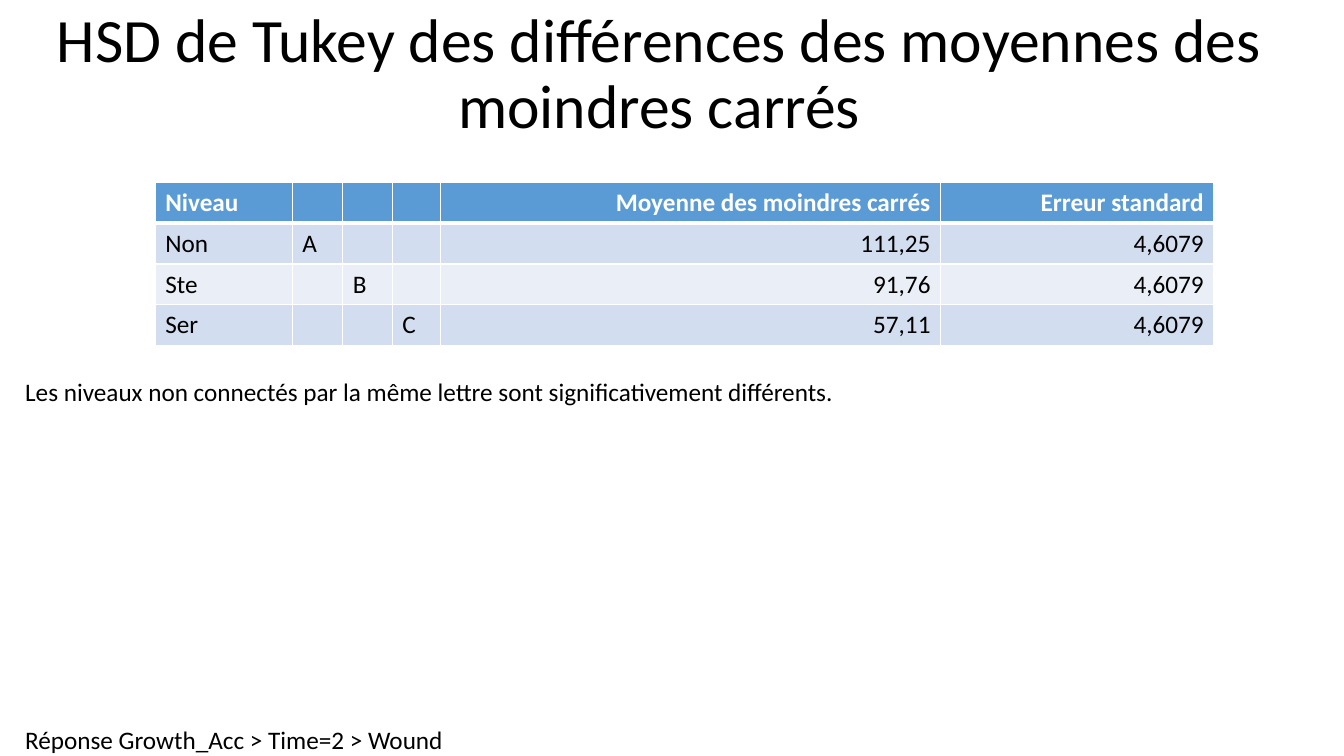
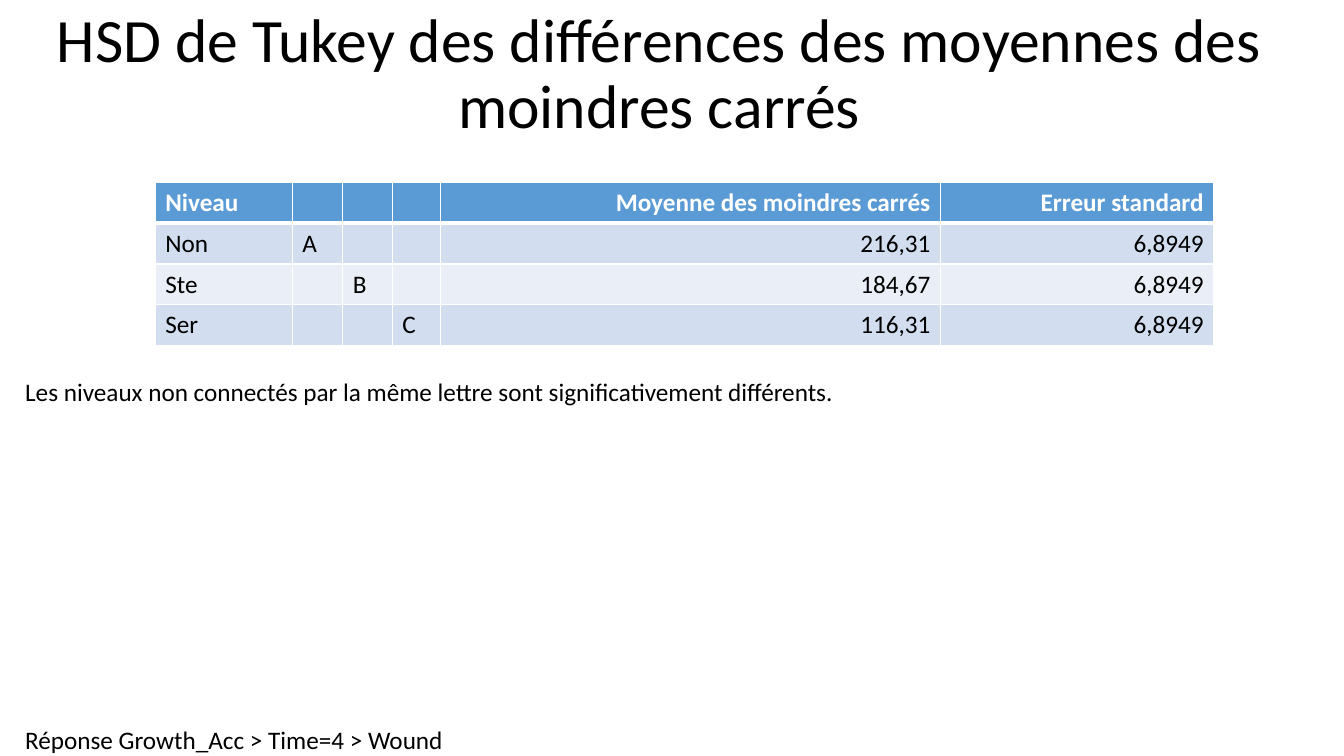
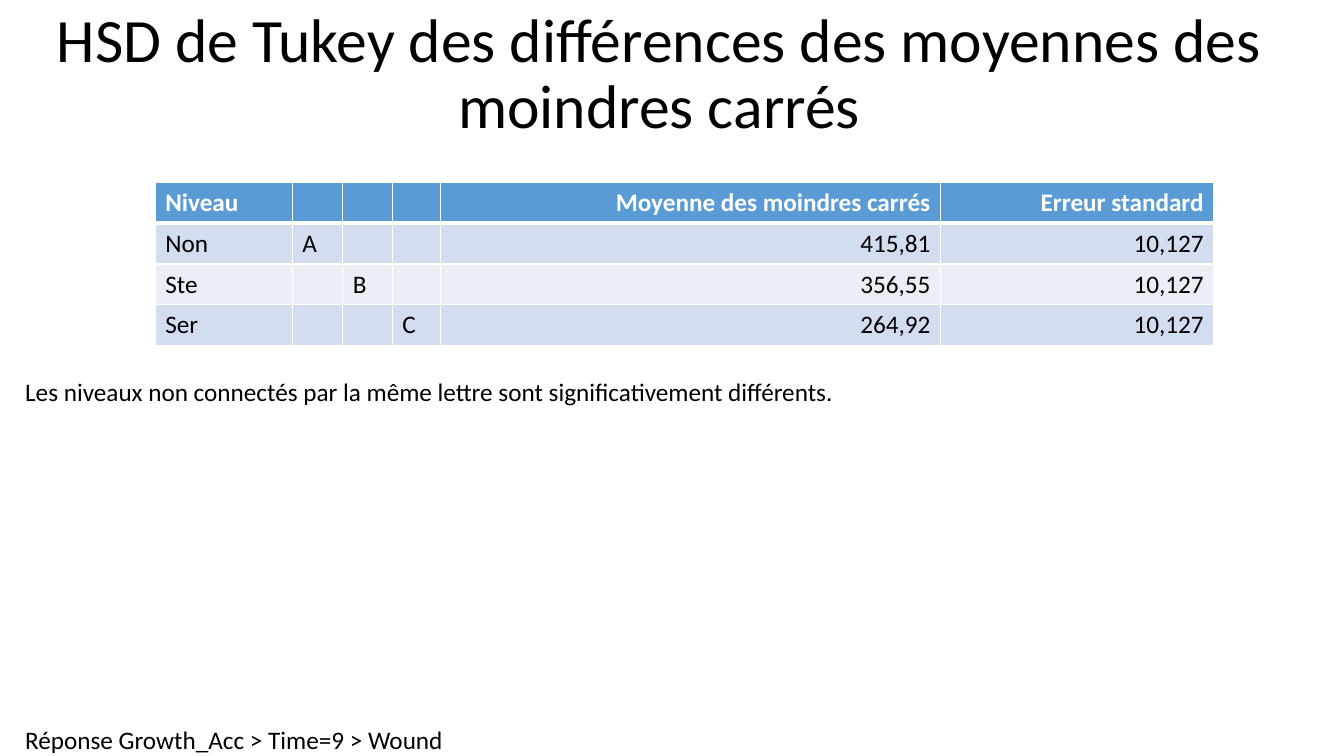
from dataclasses import dataclass

from lxml import etree
from pptx import Presentation
from pptx.dml.color import RGBColor
from pptx.enum.text import MSO_ANCHOR, MSO_AUTO_SIZE, PP_ALIGN
from pptx.oxml.ns import qn
from pptx.util import Inches, Pt

LEFT, CENTER, RIGHT = PP_ALIGN.LEFT, PP_ALIGN.CENTER, PP_ALIGN.RIGHT
MIDDLE = MSO_ANCHOR.MIDDLE
NO_FIT, GROW = MSO_AUTO_SIZE.NONE, MSO_AUTO_SIZE.SHAPE_TO_FIT_TEXT
TITLE_ONLY = 5


@dataclass(frozen=True)
class Theme:
    """Colours and type sizes shared by all slides."""
    font: str = "Calibri"
    title_size: int = 44
    body_size: int = 18
    text: str = "000000"
    light: str = "FFFFFF"
    header: str = "5B9BD5"
    bands: tuple = ("D2DEEF", "EAEFF7")
    thin: int = 1
    thick: int = 3


@dataclass(frozen=True)
class Box:
    """A region of the slide, in inches."""
    left: float
    top: float
    width: float
    height: float

    def lengths(self):
        """Return the four lengths in slide units."""
        return [Inches(value) for value in (self.left, self.top, self.width, self.height)]


THEME = Theme()
SLIDE = Box(0, 0, 13.33, 7.5)
TITLE_BOX = Box(0, 0, 13.08, SLIDE.height / 5)
TABLE_BOX = Box(1.54, 1.81, 10.5, 1.62)
NOTE_BOX = Box(0.25, 3.73, 8.07, 0.31)
SOURCE_BOX = Box(0.25, SLIDE.height - 0.31, 4.16, 0.31)

COLUMNS = (1.36, 0.5, 0.49, 0.48, 4.96, 2.71)
ALIGNMENTS = (LEFT, LEFT, LEFT, LEFT, RIGHT, RIGHT)
HEADINGS = ("Niveau", "", "", "", "Moyenne des moindres carrés", "Erreur standard")
LEVELS = (("Non", "A"), ("Ste", "B"), ("Ser", "C"))
TITLE = "HSD de Tukey des différences des moyennes des moindres carrés"
NOTE = "Les niveaux non connectés par la même lettre sont significativement différents."
RESULTS = (
    (2, ("111,25", "91,76", "57,11"), "4,6079"),
    (4, ("216,31", "184,67", "116,31"), "6,8949"),
    (9, ("415,81", "356,55", "264,92"), "10,127"),
)


def write(paragraph, text, size=THEME.body_size, color=THEME.text, bold=False, align=LEFT):
    """Add one formatted run to a paragraph."""
    paragraph.alignment = align
    run = paragraph.add_run()
    run.text = text
    run.font.name = THEME.font
    run.font.size = Pt(size)
    run.font.bold = bold
    run.font.color.rgb = RGBColor.from_string(color)


def add_title(slide, box):
    """Place and format the title placeholder."""
    title = slide.shapes.title
    title.left, title.top, title.width, title.height = box.lengths()
    frame = title.text_frame
    frame.auto_size = NO_FIT
    frame.word_wrap = True
    frame.vertical_anchor = MIDDLE
    paragraph = frame.paragraphs[0]
    paragraph.line_spacing = 0.9
    write(paragraph, TITLE, THEME.title_size, align=CENTER)


def add_line_of_text(slide, box, text):
    """Add a single unwrapped line without margins."""
    frame = slide.shapes.add_textbox(*box.lengths()).text_frame
    frame.margin_left = frame.margin_top = frame.margin_right = frame.margin_bottom = 0
    frame.word_wrap = False
    frame.auto_size = GROW
    write(frame.paragraphs[0], text)


def set_borders(cell, top, bottom):
    """Draw the four light borders of a cell."""
    properties = cell._tc.get_or_add_tcPr()
    widths = {"a:lnL": THEME.thin, "a:lnR": THEME.thin, "a:lnT": top, "a:lnB": bottom}
    for position, (tag, width) in enumerate(widths.items()):
        line = etree.Element(qn(tag), w=str(Pt(width)))
        fill = etree.SubElement(line, qn("a:solidFill"))
        etree.SubElement(fill, qn("a:srgbClr"), val=THEME.light)
        properties.insert(position, line)


def level_rows(means, error):
    """Build the body rows, with each letter one column further right."""
    rows = []
    for index, ((level, letter), mean) in enumerate(zip(LEVELS, means)):
        letters = [""] * len(LEVELS)
        letters[index] = letter
        rows.append((level, *letters, mean, error))
    return rows


def add_means_table(slide, box, means, error):
    """Add the table of least squares means."""
    rows = [HEADINGS, *level_rows(means, error)]
    table = slide.shapes.add_table(len(rows), len(COLUMNS), *box.lengths()).table
    table.horz_banding = False
    for column, share in zip(table.columns, COLUMNS):
        column.width = Inches(box.width * share / sum(COLUMNS))
    for row_index, values in enumerate(rows):
        is_header = row_index == 0
        fill = THEME.header if is_header else THEME.bands[(row_index - 1) % 2]
        color = THEME.light if is_header else THEME.text
        top = THEME.thick if row_index == 1 else THEME.thin
        bottom = THEME.thick if is_header else THEME.thin
        for column_index, (value, align) in enumerate(zip(values, ALIGNMENTS)):
            cell = table.cell(row_index, column_index)
            cell.fill.solid()
            cell.fill.fore_color.rgb = RGBColor.from_string(fill)
            set_borders(cell, top, bottom)
            if value:
                write(cell.text_frame.paragraphs[0], value, color=color, bold=is_header, align=align)


def add_result_slide(presentation, time, means, error):
    """Add one slide of Tukey results for a given time."""
    slide = presentation.slides.add_slide(presentation.slide_layouts[TITLE_ONLY])
    add_line_of_text(slide, SOURCE_BOX, f"Réponse Growth_Acc > Time={time} > Wound")
    add_title(slide, TITLE_BOX)
    add_means_table(slide, TABLE_BOX, means, error)
    add_line_of_text(slide, NOTE_BOX, NOTE)


def main():
    """Build and save the presentation."""
    presentation = Presentation()
    presentation.slide_width = Inches(SLIDE.width)
    presentation.slide_height = Inches(SLIDE.height)
    for time, means, error in RESULTS:
        add_result_slide(presentation, time, means, error)
    presentation.save("out.pptx")


if __name__ == "__main__":
    main()
